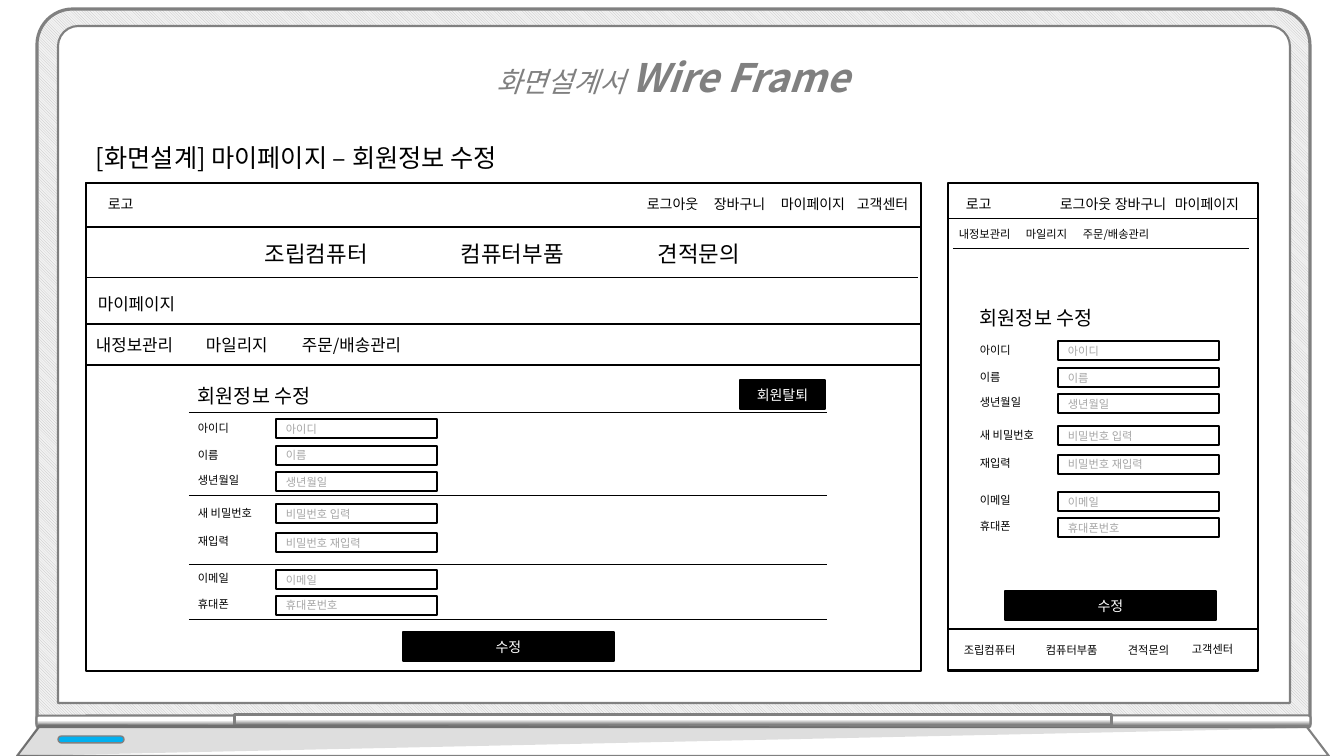
from lxml.etree import SubElement
from pptx import Presentation
from pptx.dml.color import RGBColor
from pptx.enum.dml import MSO_PATTERN
from pptx.enum.shapes import MSO_CONNECTOR, MSO_SHAPE
from pptx.enum.text import MSO_ANCHOR, MSO_AUTO_SIZE, PP_ALIGN
from pptx.oxml.ns import qn
from pptx.util import Inches, Pt

BLACK = RGBColor(0, 0, 0)
WHITE = RGBColor(255, 255, 255)
GRAY = RGBColor(0x80, 0x80, 0x80)
HINT_GRAY = RGBColor(0xA6, 0xA6, 0xA6)
HATCH = RGBColor(0xBF, 0xBF, 0xBF)
HATCH_BACK = RGBColor(0xF2, 0xF2, 0xF2)
LED_BLUE = RGBColor(0, 0xB0, 0xF0)
FONT = "Noto Sans CJK KR"
SCALE = Inches(1) / 100.8
INSET = 10

# Content: text, size, left, top, width, height
HEADING = ("[화면설계] 마이페이지 – 회원정보 수정", 18, 86, 137, 610, 40)
LABELS = [
    ("마이페이지", 12, 88, 289, 229, 30),
    ("로고", 10, 98, 191, 243, 27),
    ("로고", 10, 956, 191, 52, 27),
    ("조립컴퓨터", 8, 954, 638, 82, 24),
    ("컴퓨터부품", 8, 1036, 638, 78, 24),
    ("견적문의", 8, 1118, 638, 67, 24),
    ("고객센터", 8, 1182, 637, 87, 24),
]
# Menus: size, top, height, right edge, {item: left of its text}
MENUS = [
    (10, 191, 27, 921, {"로그아웃": 647, "장바구니": 714, "마이페이지": 781, "고객센터": 857}),
    (16, 235, 37, 921, {"조립컴퓨터": 265, "컴퓨터부품": 461, "견적문의": 658}),
    (10, 191, 27, 1254, {"로그아웃": 1060, "장바구니": 1115, "마이페이지": 1175}),
    (8, 222, 24, 1244, {"내정보관리": 959, "마일리지": 1026, "주문/배송관리": 1083}),
]
ACCOUNT_MENU = {"내정보관리": 96, "마일리지": 206, "주문/배송관리": 302}
FORM_TITLE = "회원정보 수정"
# Fields: label, hint, label offset, input offset
FIELDS = [
    ("아이디", "아이디", 37, 40),
    ("이름", "이름", 64, 67),
    ("생년월일", "생년월일", 89, 93),
    ("새 비밀번호", "비밀번호 입력", 122, 125),
    ("재입력", "비밀번호 재입력", 150, 154),
    ("이메일", "이메일", 187, 191),
    ("휴대폰", "휴대폰번호", 213, 217),
]
FORM_ORIGINS = [(188, 379), (970, 301)]
PANELS = [(86, 183, 835, 488), (86, 183, 835, 44),
          (948, 183, 310, 488), (948, 629, 310, 41)]
BUTTONS = [("수정", 403, 632, 211, 29), ("회원탈퇴", 740, 380, 85, 29),
           ("수정", 1005, 591, 211, 29)]
DIVIDERS = [(86, 918, 277), (948, 1258, 218), (953, 1249, 248)]
DIVIDERS += [(189, 827, y) for y in (412, 495, 564, 619)]
# Hinge bars: left, top, height, rotation, gradient angle, corner
HINGES = [(130, 622, 199, 270, 0, 0.19), (1205, 622, 199, 90, 180, 0.19),
          (667, 282, 877, 270, 0, 0)]


def emu(*lengths):
    return [round(length * SCALE) for length in lengths]


def style_runs(paragraph, size, color):
    for run in paragraph.runs:
        run.font.size = Pt(size)
        run.font.name = FONT
        run.font.color.rgb = color
        SubElement(run.font._element, qn("a:ea"), typeface=FONT)


def write(shape, text, size, color=BLACK, align=PP_ALIGN.LEFT, stops=()):
    paragraph = shape.text_frame.paragraphs[0]
    paragraph.text = text
    paragraph.alignment = align
    if stops:
        tabs = SubElement(paragraph._p.get_or_add_pPr(), qn("a:tabLst"))
        for stop in emu(*stops):
            SubElement(tabs, qn("a:tab"), pos=str(stop), algn="l")
    style_runs(paragraph, size, color)


def write_menu(shape, items, size):
    first, *others = items.values()
    write(shape, "\t".join(items), size, stops=[x - first for x in others])


def add_text_box(left, top, width, height):
    box = slide.shapes.add_textbox(*emu(left, top, width, height))
    box.text_frame.word_wrap = True
    box.text_frame.auto_size = MSO_AUTO_SIZE.SHAPE_TO_FIT_TEXT
    return box


def style_shape(shape, fill, line, weight):
    shape.shadow.inherit = False
    if fill is not None:
        shape.fill.solid()
        shape.fill.fore_color.rgb = fill
    if line is None:
        shape.line.fill.background()
    else:
        shape.line.color.rgb = line
        shape.line.width = Pt(weight)
    return shape


def add_box(left, top, width, height, fill=WHITE):
    box = slide.shapes.add_shape(MSO_SHAPE.RECTANGLE, *emu(left, top, width, height))
    box.text_frame.vertical_anchor = MSO_ANCHOR.MIDDLE
    return style_shape(box, fill, BLACK, 1)


def add_laptop_part(kind, area, corners, fill, line, weight):
    part = laptop.shapes.add_shape(kind, *emu(*area))
    for index, corner in enumerate(corners):
        part.adjustments[index] = corner
    return style_shape(part, fill, line, weight)


def add_outline(points, fill, line):
    builder = laptop.shapes.build_freeform(*points[0], scale=SCALE)
    builder.add_line_segments(points[1:], close=True)
    return style_shape(builder.convert_to_shape(), fill, line, 1.5)


presentation = Presentation()
presentation.slide_width, presentation.slide_height = emu(1344, 756)
slide = presentation.slides.add_slide(presentation.slide_layouts[5])

# Laptop frame
laptop = slide.shapes.add_group_shape()
LID = MSO_SHAPE.ROUND_2_SAME_RECTANGLE
lid = add_laptop_part(LID, (37, 9, 1273, 715), (0.05, 0), None, GRAY, 2.25)
lid.fill.patterned()
lid.fill.pattern = MSO_PATTERN.LIGHT_DOWNWARD_DIAGONAL
lid.fill.fore_color.rgb = HATCH
lid.fill.back_color.rgb = HATCH_BACK
add_laptop_part(LID, (58, 26, 1232, 677), (0.03, 0), WHITE, GRAY, 1.5)
for left, top, height, rotation, angle, corner in HINGES:
    hinge = add_laptop_part(LID, (left, top, 12, height), (corner, 0), None, GRAY, 1.5)
    hinge.rotation = rotation
    hinge.fill.gradient()
    hinge.fill.gradient_angle = angle
    for stop, color, position in zip(hinge.fill.gradient_stops, (GRAY, WHITE), (0.17, 0.59)):
        stop.color.rgb = color
        stop.position = position
add_outline([(39, 727), (1307, 727), (1329, 756), (17, 756)], WHITE, GRAY)
shade = add_outline([(39, 724), (17, 756), (1312, 728)], BLACK, None)
shade_color = shade.fill._xPr.find(qn("a:solidFill"))[0]
SubElement(shade_color, qn("a:alpha"), val="13000")
add_laptop_part(MSO_SHAPE.ROUNDED_RECTANGLE, (58, 736, 66, 7), (0.5,), LED_BLUE, GRAY, 1)

# Title, in front of the laptop
title = slide.shapes.title
title.left, title.top, title.width, title.height = emu(370, 25, 605, 82)
title.text_frame.vertical_anchor = MSO_ANCHOR.TOP
title.text_frame.auto_size = MSO_AUTO_SIZE.NONE
title_line = title.text_frame.paragraphs[0]
title_line.alignment = PP_ALIGN.CENTER
title_line.line_spacing = 1.5
for text in ("화면설계서 ", "Wire Frame"):
    title_line.add_run().text = text
style_runs(title_line, 20, GRAY)
for run in title_line.runs:
    run.font.italic = True
title_line.runs[1].font.size = Pt(28)
title_line.runs[1].font.bold = True
title.element.getparent().append(title.element)

# Desktop and mobile panels
for panel in PANELS:
    add_box(*panel)
write_menu(add_box(86, 324, 835, 41), ACCOUNT_MENU, 12)
for start, end, y in DIVIDERS:
    divider = slide.shapes.add_connector(MSO_CONNECTOR.STRAIGHT, *emu(start, y, end, y))
    divider.line.color.rgb = BLACK
    divider.line.width = Pt(0.5)
    SubElement(divider.element.spPr, qn("a:effectLst"))

# Labels and menus
for text, size, *area in [HEADING] + LABELS:
    write(add_text_box(*area), text, size)
for size, top, height, right, items in MENUS:
    left = min(items.values()) - INSET
    write_menu(add_text_box(left, top, right - left, height), items, size)

# Member forms
for x, y in FORM_ORIGINS:
    write(add_text_box(x, y, 180, 34), FORM_TITLE, 14)
    for label, hint, label_offset, input_offset in FIELDS:
        write(add_text_box(x, y + label_offset, 180, 24), label, 8)
        write(add_box(x + 88, y + input_offset, 161, 19), hint, 8, HINT_GRAY)

# Buttons
for text, *area in BUTTONS:
    write(add_box(*area, fill=BLACK), text, 10, WHITE, PP_ALIGN.CENTER)

presentation.save("out.pptx")
